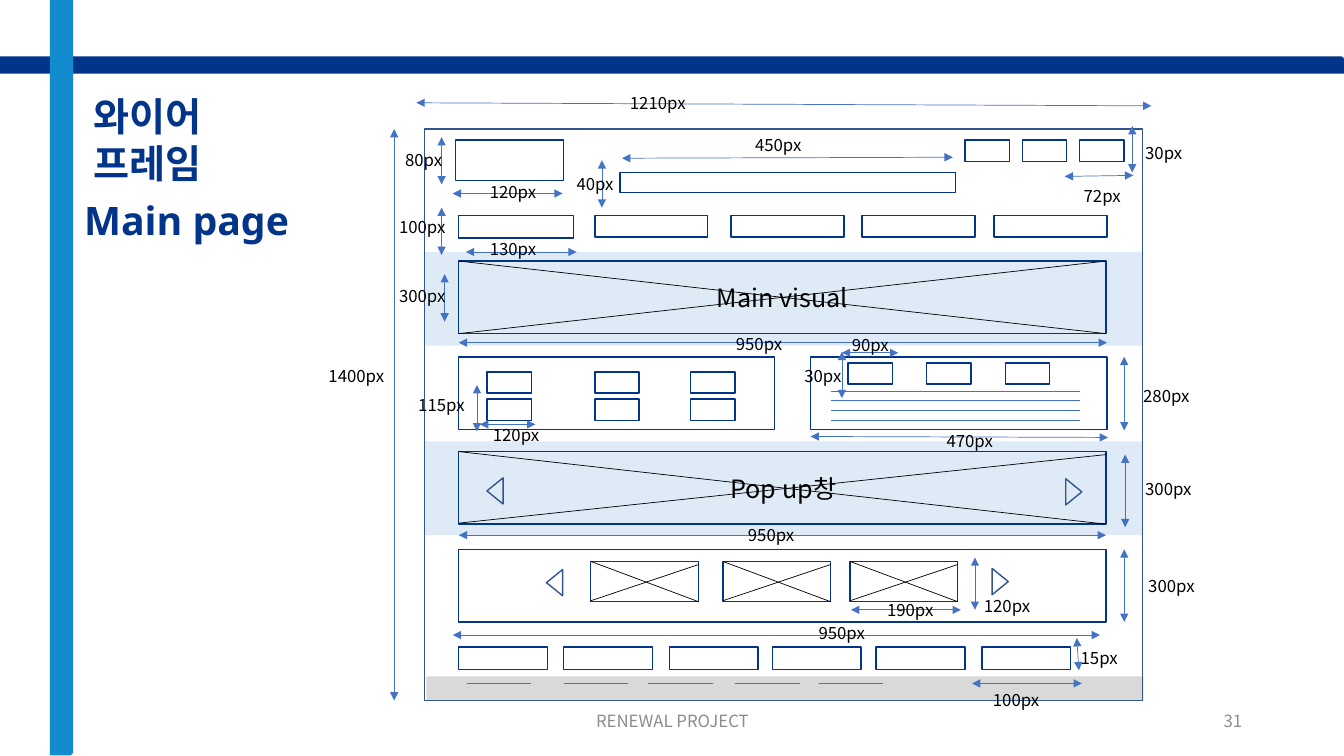
from lxml import etree
from pptx import Presentation
from pptx.dml.color import RGBColor
from pptx.enum.shapes import MSO_CONNECTOR as Connector, MSO_SHAPE as Shape
from pptx.enum.text import MSO_ANCHOR as Anchor, PP_ALIGN as Align
from pptx.oxml.ns import qn
from pptx.util import Inches, Pt

THEME = {
    "navy": "023489", "sky": "128CCF", "outline": "325491", "arrow": "4472C4",
    "band": "DEEBF7", "footer": "D9D9D9", "black": "000000", "muted": "8C8C8C",
    "title_font": "Noto Sans", "body_font": "Noto Sans CJK KR",
    "title_size": 28, "caption_size": 18, "label_size": 12,
    "box_line": 1, "thin_line": 0.5,
}

# Content: text, left, top, width, height
TITLES = [("와이어 프레임", 0.59, 0.87, 1.75, 1.04), ("Main page", 0.58, 1.9, 2.54, 0.57)]
FOOTERS = [("RENEWAL PROJECT", 4.42, 4.5, Align.CENTER), ("31", 9.42, 3, Align.RIGHT)]

# Layout: left, top, width, height
FRAME = (4.21, 1.28, 7.12, 5.67)
FOOTER_BAND = (4.23, 6.71, 7.11, 0.24)
BANDS = [("Pop up창", 4.38), ("", 2.5)]
MAIN_VISUAL = (4.55, 2.59, 6.42, 0.72)
POPUP = (4.55, 4.48, 6.42, 0.72)
PANELS = [(4.52, 1.39, 1.07, 0.4), (6.15, 1.71, 3.33, 0.2), (4.55, 3.54, 3.13, 0.72),
          (8.04, 3.54, 2.94, 0.72), POPUP, (4.55, 5.45, 6.42, 0.72)]

# Rows of equal boxes: lefts, top, width, height
ROWS = [
    ((9.57, 10.14, 10.71), 1.39, 0.44, 0.21),
    ((4.55,), 2.14, 1.14, 0.22),
    ((5.9, 7.25, 8.55, 9.86), 2.14, 1.12, 0.21),
    ((4.83, 5.9, 6.85), 3.69, 0.44, 0.21),
    ((4.83, 5.9, 6.85), 3.96, 0.44, 0.21),
    ((8.41, 9.19, 9.97), 3.6, 0.44, 0.21),
    ((4.55, 5.59, 6.64, 7.66, 8.69, 9.74), 6.42, 0.88, 0.22),
]
THUMBNAILS = [(left, 5.57, 1.07, 0.4) for left in (5.86, 7.17, 8.43)]
NOTICE_LINES = [3.88, 3.97, 4.07, 4.17]
FOOTER_LINKS = [4.63, 5.59, 6.43, 7.29, 8.12]
TRIANGLES = [(9.79, 5.69, 90), (5.37, 5.7, 270), (10.52, 4.8, 90), (4.78, 4.79, 270)]

# Dimensions: label, label left, label top, arrow start x, y, arrow end x, y
DIMENSIONS = [
    ("1210px", 6.15, 0.87, 11.42, 1.05, 4.13, 1.02),
    ("1400px", 3.16, 3.58, 3.91, 1.28, 3.91, 6.95),
    ("80px", 3.92, 1.44, 4.38, 1.36, 4.38, 1.83),
    ("120px", 4.76, 1.75, 4.49, 1.92, 5.58, 1.92),
    ("450px", 7.39, 1.29, 9.45, 1.56, 6.17, 1.57),
    ("40px", 5.62, 1.67, 5.97, 1.59, 5.97, 2.06),
    ("72px", 10.65, 1.79, 11.24, 1.74, 10.56, 1.75),
    ("30px", 11.26, 1.37, 11.23, 1.25, 11.23, 1.71),
    ("100px", 3.86, 2.1, 4.38, 2.06, 4.38, 2.53),
    ("130px", 4.76, 2.32, 4.62, 2.5, 5.72, 2.5),
    ("300px", 3.86, 2.79, 4.41, 2.72, 4.41, 3.19),
    ("950px", 7.2, 3.26, 4.55, 3.4, 10.98, 3.4),
    ("90px", 8.35, 3.27, 8.35, 3.5, 8.91, 3.5),
    ("30px", 7.88, 3.58, 8.35, 3.49, 8.35, 3.95),
    ("120px", 4.79, 4.16, 4.76, 4.21, 5.31, 4.21),
    ("115px", 4.05, 3.87, 4.73, 3.82, 4.73, 4.28),
    ("280px", 11.24, 3.78, 11.15, 3.54, 11.15, 4.27),
    ("470px", 9.29, 4.22, 10.99, 4.34, 8.04, 4.33),
    ("950px", 7.32, 5.16, 4.55, 5.31, 10.97, 5.31),
    ("300px", 11.26, 4.7, 11.16, 4.51, 11.16, 5.23),
    ("300px", 11.29, 5.66, 11.15, 5.45, 11.15, 6.17),
    ("950px", 8.02, 6.13, 4.49, 6.3, 10.91, 6.3),
    ("190px", 8.7, 5.9, 8.44, 6.05, 9.53, 6.05),
    ("120px", 9.66, 5.86, 9.67, 5.53, 9.67, 6.05),
    ("100px", 9.75, 6.79, 9.64, 6.78, 10.73, 6.78),
    ("15px", 10.62, 6.38, 10.68, 6.33, 10.7, 6.65),
]


def color(name):
    return RGBColor.from_string(THEME[name])


def write(box, text, size, ink, align=Align.LEFT, font="body_font", bold=False, anchor=Anchor.TOP):
    box.text_frame.word_wrap = True
    box.text_frame.vertical_anchor = anchor
    para = box.text_frame.paragraphs[0]
    para.alignment = align
    span = para.add_run()
    span.text = text
    span.font.name, span.font.size, span.font.bold = THEME[font], Pt(THEME[size]), bold
    span.font.color.rgb = color(ink)
    east_asian = etree.SubElement(span.font._element, qn("a:ea"))
    east_asian.set("typeface", THEME["body_font"])


def add_text(page, area, *args, **options):
    write(page.shapes.add_textbox(*map(Inches, area)), *args, **options)


def add_box(page, area, fill=None, line=None, kind=Shape.RECTANGLE, turn=0):
    box = page.shapes.add_shape(kind, *map(Inches, area))
    box.shadow.inherit = False
    box.rotation = turn
    if fill:
        box.fill.solid()
        box.fill.fore_color.rgb = color(fill)
    else:
        box.fill.background()
    if line:
        box.line.color.rgb = color(line)
        box.line.width = Pt(THEME["box_line"])
    else:
        box.line.fill.background()
    return box


def add_line(page, points, ink="arrow", arrows=False):
    line = page.shapes.add_connector(Connector.STRAIGHT, *map(Inches, points))
    line.line.color.rgb = color(ink)
    line.line.width = Pt(THEME["thin_line"])
    etree.SubElement(line._element.spPr, qn("a:effectLst"))
    if arrows:
        for end in ("a:headEnd", "a:tailEnd"):
            etree.SubElement(line.line._get_or_add_ln(), qn(end)).set("type", "triangle")


def add_cross(page, area, trim=0.03):
    left, top, width, height = area
    right, bottom = left + width, top + height
    add_line(page, (left, top, right, bottom), "black")
    add_line(page, (left, bottom - trim / 3, right, top + trim), "black")


def main():
    deck = Presentation()
    deck.slide_width, deck.slide_height = Inches(13.33), Inches(7.5)
    page = deck.slides.add_slide(deck.slide_layouts[6])

    # Page bars, title and footer
    add_box(page, (0, 0.56, 13.33, 0.17), "navy", kind=Shape.ROUND_1_RECTANGLE)
    add_box(page, (-3.14, 3.63, 7.5, 0.23), "sky", kind=Shape.ROUND_1_RECTANGLE, turn=90)
    for text, *area in TITLES:
        add_text(page, area, text, "title_size", "navy", Align.CENTER, "title_font", True)
    for text, left, width, align in FOOTERS:
        add_text(page, (left, 6.95, width, 0.4), text, "label_size", "muted", align,
                 anchor=Anchor.MIDDLE)

    # Background bands and outer frame
    add_box(page, FOOTER_BAND, "footer")
    for caption, top in BANDS:
        band = add_box(page, (4.21, top, 7.12, 0.93), "band")
        if caption:
            write(band, caption, "caption_size", "black", Align.CENTER, anchor=Anchor.MIDDLE)
    add_box(page, FRAME, line="outline")

    # Wireframe boxes
    visual = add_box(page, MAIN_VISUAL, line="navy")
    write(visual, "Main visual", "caption_size", "black", Align.CENTER, anchor=Anchor.MIDDLE)
    for area in PANELS + THUMBNAILS:
        add_box(page, area, line="navy")
    for lefts, top, width, height in ROWS:
        for left in lefts:
            add_box(page, (left, top, width, height), line="navy")

    # Image crosses, text lines and slider buttons
    add_cross(page, MAIN_VISUAL, trim=0)
    for area in [POPUP] + THUMBNAILS:
        add_cross(page, area)
    for y in NOTICE_LINES:
        add_line(page, (8.24, y, 10.71, y))
    for left in FOOTER_LINKS:
        add_line(page, (left, 6.78, left + 0.64, 6.78))
    for left, top, turn in TRIANGLES:
        add_box(page, (left, top, 0.26, 0.16), line="outline",
                kind=Shape.ISOSCELES_TRIANGLE, turn=turn)

    # Dimension arrows with their labels
    for label, left, top, *points in DIMENSIONS:
        add_line(page, points, arrows=True)
        add_text(page, (left, top, 0.76, 0.3), label, "label_size", "black")

    deck.save("out.pptx")


if __name__ == "__main__":
    main()
